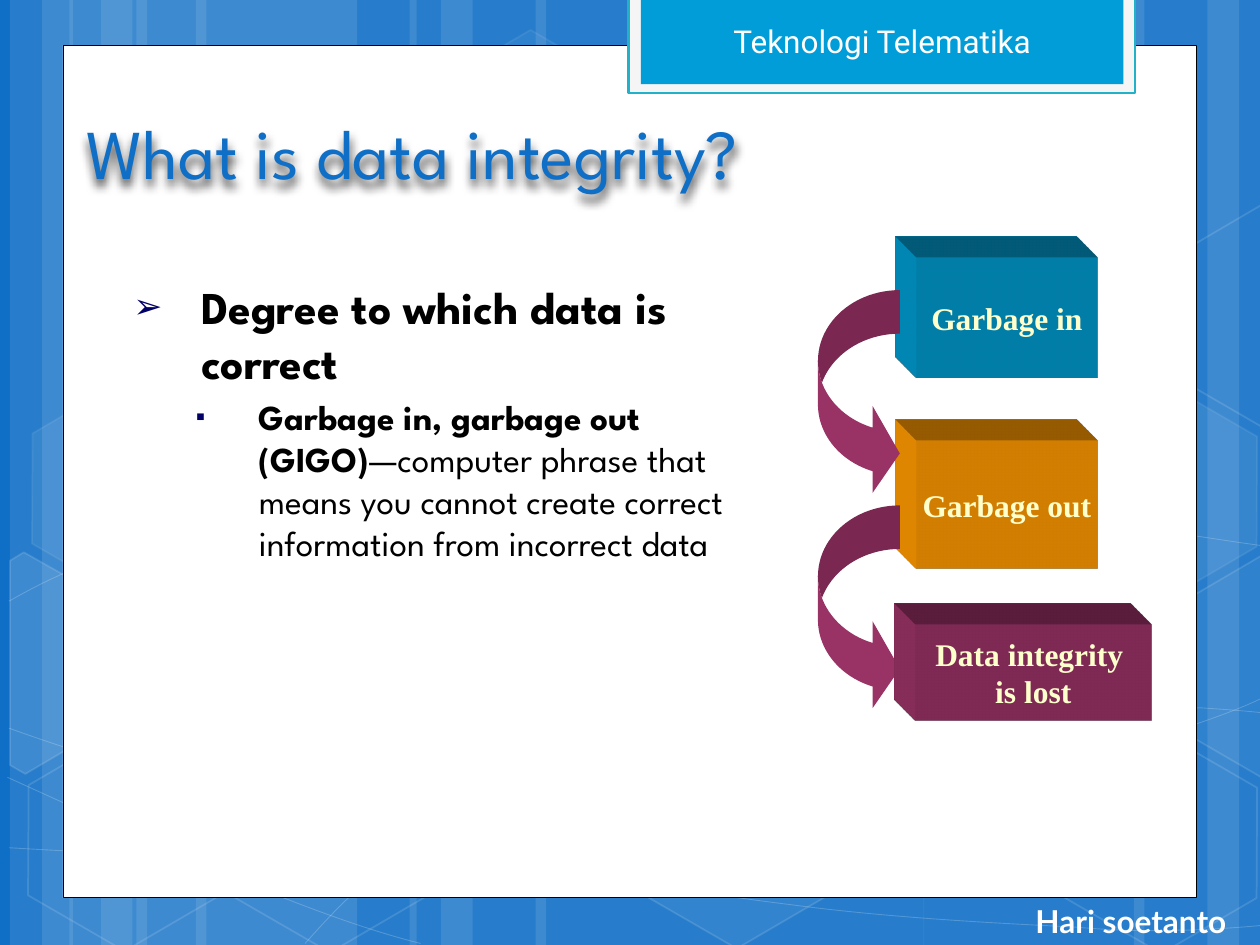
from math import cos, radians, sin

from lxml import etree
from pptx import Presentation
from pptx.dml.color import RGBColor
from pptx.enum.shapes import MSO_SHAPE
from pptx.enum.text import MSO_ANCHOR, PP_ALIGN
from pptx.oxml.ns import qn
from pptx.util import Cm, Pt

RECT, HEXAGON = MSO_SHAPE.RECTANGLE, MSO_SHAPE.HEXAGON
CURVED_ARROW = MSO_SHAPE.CURVED_RIGHT_ARROW
LEFT, CENTER, RIGHT = PP_ALIGN.LEFT, PP_ALIGN.CENTER, PP_ALIGN.RIGHT
TOP, MIDDLE, BOTTOM = MSO_ANCHOR.TOP, MSO_ANCHOR.MIDDLE, MSO_ANCHOR.BOTTOM
SLIDE_W, SLIDE_H = 25.4, 19.05
WHITE, BLUE, PLUM, CREAM = "FFFFFF", "0F6FC6", "993366", "FFFFCC"
TILT = 30


def color(hex_):
    return RGBColor.from_string(hex_)


def add(parent, tag, **attributes):
    return etree.SubElement(parent, qn("a:" + tag), **attributes)


def paint(fill, hex_, opacity=100):
    """Solid colour for a fill, with opacity in percent."""
    fill.solid()
    fill.fore_color.rgb = color(hex_)
    if opacity < 100:
        add(fill._xPr.find(qn("a:solidFill"))[0], "alpha", val=str(opacity * 1000))


def add_text(p, text, size=18, font="League Spartan", hex_="000000", bold=False, align=LEFT):
    p.alignment = align
    for i, line in enumerate(text.split("\n")):
        if i:
            p.add_line_break()
        r = p.add_run()
        r.text = line
        r.font.size, r.font.name, r.font.bold = Pt(size), font, bold
        r.font.color.rgb = color(hex_)


def add_bullet(p, char, margin, indent):
    pPr = p._p.get_or_add_pPr()
    pPr.set("marL", str(Cm(margin)))
    pPr.set("indent", str(Cm(indent)))
    add(add(pPr, "buClr"), "srgbClr", val="000066")
    add(pPr, "buSzPct", val="76000")
    add(pPr, "buFont", typeface="Arial")
    add(pPr, "buChar", char=char)


def turn(point, center, degrees):
    a = radians(degrees)
    dx, dy = point[0] - center[0], point[1] - center[1]
    return center[0] + dx * cos(a) - dy * sin(a), center[1] + dx * sin(a) + dy * cos(a)


class Deck:
    def __init__(self):
        self.prs = Presentation()
        self.prs.slide_width, self.prs.slide_height = Cm(SLIDE_W), Cm(SLIDE_H)
        self.s = self.prs.slides.add_slide(self.prs.slide_layouts[5])
        paint(self.s.background.fill, BLUE)

    def style(self, sp, fill=None, opacity=100, line=None, width=1, line_opacity=100):
        sp.shadow.inherit = False
        if fill and opacity:
            paint(sp.fill, fill, opacity)
        else:
            sp.fill.background()
        if line:
            sp.line.width = Pt(width)
            paint(sp.line.fill, line, line_opacity)
        else:
            sp.line.fill.background()
        return sp

    def shape(self, kind, x, y, w, h, adj=(), **look):
        sp = self.s.shapes.add_shape(kind, Cm(x), Cm(y), Cm(w), Cm(h))
        for i, value in enumerate(adj):
            sp.adjustments[i] = value
        return self.style(sp, **look)

    def outline(self, points, close=True, **look):
        pts = [(Cm(x), Cm(y)) for x, y in points]
        builder = self.s.shapes.build_freeform(*pts[0], scale=1.0)
        builder.add_line_segments(pts[1:], close=close)
        return self.style(builder.convert_to_shape(), **look)

    def curve(self, start, *segments, **look):
        """Open chain of cubic Bezier segments."""
        sp = self.outline([start] + [seg[-1] for seg in segments], close=False, **look)
        for line_to, seg in zip(list(sp._element.iter(qn("a:lnTo"))), segments):
            line_to.tag = qn("a:cubicBezTo")
            line_to.remove(line_to[0])
            for x, y in seg:
                add(line_to, "pt", x=str(Cm(x) - sp.left), y=str(Cm(y) - sp.top))

    def frame(self, sp, anchor=TOP, wrap=True):
        tf = sp.text_frame
        tf.word_wrap, tf.vertical_anchor = wrap, anchor
        return tf

    def textbox(self, x, y, w, h, anchor=TOP):
        return self.frame(self.s.shapes.add_textbox(Cm(x), Cm(y), Cm(w), Cm(h)), anchor)

    def title(self, text, x, y, w, h):
        sp = self.s.shapes.title
        sp.left, sp.top, sp.width, sp.height = Cm(x), Cm(y), Cm(w), Cm(h)
        add_text(self.frame(sp, BOTTOM).paragraphs[0], text, size=40, hex_=BLUE)
        shadow = add(add(sp._element.spPr, "effectLst"), "outerShdw", blurRad="76200",
                     dist="50800", dir="5400000", algn="t")
        add(add(shadow, "srgbClr", val="000000"), "alpha", val="75000")
        self.s.shapes._spTree.append(sp._element)  # bring in front of the backdrop

    def block(self, text, hex_, x, y, w, h):
        """Extruded box seen from the top left."""
        sp = self.shape(RECT, x, y, w, h, fill=hex_)
        scene = add(sp._element.spPr, "scene3d")
        add(scene, "camera", prst="legacyObliqueTopLeft")
        add(scene, "lightRig", rig="legacyFlat3", dir="b")
        solid = add(sp._element.spPr, "sp3d", extrusionH="430200", prstMaterial="legacyMatrix")
        for bevel in ("bevelT", "bevelB"):
            add(solid, bevel, w="13500", h="13500", prst="angle")
        add(add(solid, "extrusionClr"), "srgbClr", val=hex_)
        add_text(self.frame(sp, MIDDLE, wrap=False).paragraphs[0], text,
                 font="Times New Roman", hex_=CREAM, bold=True, align=CENTER)

    def arrow(self, y):
        self.shape(CURVED_ARROW, 16.49, y, 1.65, 4.17, adj=(0.532, 1.064, 0.333), fill=PLUM)


d = Deck()

# Backdrop: vertical bands
for x, w in ((2.75, 4.45), (0.2, 1.27), (0.85, 2.12), (3.95, 4.45), (1.4, 1.27), (2.04, 2.12),
             (18.62, 4.45), (24.34, 1.27), (22.86, 2.12), (10.8, 7.83), (8.26, 1.27), (8.89, 2.12)):
    d.shape(RECT, x, 0, w, SLIDE_H, fill=WHITE, opacity=10)

# Backdrop: thin curves
curves = [
    ((0.18, 17.09), ((1.55, 17.17), (2.92, 17.25), (4.83, 17.22)),
     ((6.73, 17.2), (9.09, 17.15), (11.63, 16.89)), ((14.17, 16.64), (17.78, 16.15), (20.12, 15.67)),
     ((22.43, 15.19), (24.82, 14.43), (25.58, 14))),
    ((0.18, 12.12), ((0.91, 11.71), (1.65, 11.33), (3.07, 10.95)),
     ((4.52, 10.57), (6.58, 10.01), (8.81, 9.83)), ((11.07, 9.65), (13.82, 9.63), (16.61, 9.83)),
     ((19.41, 10.03), (24.05, 10.82), (25.58, 11.02))),
    ((0.15, 15.67), ((3.23, 17.07), (6.27, 18.47), (8.48, 19.02))),
    ((0.18, 14.68), ((0.97, 14.96), (1.78, 15.24), (3.25, 15.65)),
     ((4.72, 16.03), (6.93, 16.66), (9.07, 17.09)), ((11.18, 17.53), (13.84, 17.98), (15.95, 18.24)),
     ((18.06, 18.52), (20.32, 18.62), (21.67, 18.69)), ((22.99, 18.8), (23.34, 18.75), (24, 18.75)),
     ((24.66, 18.72), (25.12, 18.69), (25.58, 18.64))),
    ((6.15, 19.02), ((6.6, 18.52), (7.06, 18.01), (7.67, 17.55)),
     ((8.28, 17.09), (9.14, 16.59), (9.86, 16.23)), ((10.57, 15.88), (11, 15.72), (11.94, 15.47)),
     ((12.85, 15.21), (14.55, 14.86), (15.44, 14.68)), ((16.36, 14.5), (16.48, 14.5), (17.27, 14.45)),
     ((18.06, 14.38), (19.3, 14.27), (20.17, 14.27)), ((21.06, 14.25), (22.5, 14.27), (24.21, 14.27)),
     ((24.66, 14.3), (25.1, 14.33), (25.55, 14.38))),
]
for points in curves:
    d.curve(*points, line=WHITE, width=0.5, line_opacity=20)

# Backdrop: hexagons, then those cut by the slide edge
for x, y, opacity, line_opacity in (
        (8.48, 0.91, 4, 8), (12.62, 14.96, 6, 12), (0.28, 15.01, 0, 12), (0.36, 7.92, 7, 8),
        (4.42, 15.04, 0, 12), (19.13, 11.51, 10, 12), (21.18, 15.06, 0, 12), (21.18, 7.98, 7, 8)):
    sp = d.shape(HEXAGON, x, y, 4.45, 3.86, adj=(0.285, 1.155), fill=WHITE, opacity=opacity,
                 line=WHITE, line_opacity=line_opacity)
    sp.rotation = TILT
right_cut = [(23.52, 12.32), (25.43, 11.2), (25.63, 11.33), (25.63, 15.57), (25.45, 15.67), (23.52, 14.55)]
for opacity, center, points in (
        (10, (0.91, 13.59), [(0.2, 11.3), (0.48, 11.13), (2.44, 12.24), (2.41, 14.48), (0.51, 15.6), (0.2, 15.42)]),
        (4, (25.02, 13.21), right_cut),
        (0, (25.02, 6.14), [(x, y - 7.07) for x, y in right_cut])):
    sp = d.outline([turn(pt, center, -TILT) for pt in points], fill=WHITE, opacity=opacity,
                   line=WHITE, line_opacity=12)
    sp.rotation = TILT

# Panel and course tab
d.shape(RECT, 1.27, 0.91, 22.86, 17.19, fill=WHITE, line="000000", width=0.5)
d.shape(RECT, 12.67, -0.05, 10.21, 1.93, fill="F5F5F5", line="21B2C9", width=1.25)
tab = d.shape(RECT, 12.92, -0.05, 9.73, 1.75, fill="009DD9")
add_text(d.frame(tab, MIDDLE).paragraphs[0], "Teknologi Telematika", font="Roboto",
         hex_=WHITE, align=CENTER)

# Title and body
d.title("What is data integrity?", 1.48, 1.69, 21.59, 2.33)
tf = d.textbox(2.11, 5.51, 13.34, 10.69)
p = tf.paragraphs[0]
add_bullet(p, "➢", 1.7, -1.37)
add_text(p, "Degree to which data is correct", size=26, bold=True)
p = tf.add_paragraph()
p.space_before = Pt(4)
add_bullet(p, "▪", 2.86, -1.27)
add_text(p, "Garbage in, garbage out (GIGO)", size=20, bold=True)
add_text(p, "—computer phrase that means you cannot create correct information from incorrect data",
         size=20)

# Garbage in, garbage out diagram
d.block("Garbage out", "FF9900", 18.47, 8.89, 3.66, 2.57)
d.block("Garbage in", "0099CC", 18.47, 5.2, 3.66, 2.41)
d.arrow(10.19)
d.block("Data integrity \nis lost", PLUM, 18.45, 12.59, 4.76, 1.93)
d.arrow(5.85)

# Author
add_text(d.textbox(15.24, 18.06, 9.73, 1.02, MIDDLE).paragraphs[0], "Hari soetanto",
         font="Lato", hex_=WHITE, bold=True, align=RIGHT)

d.prs.save("out.pptx")
